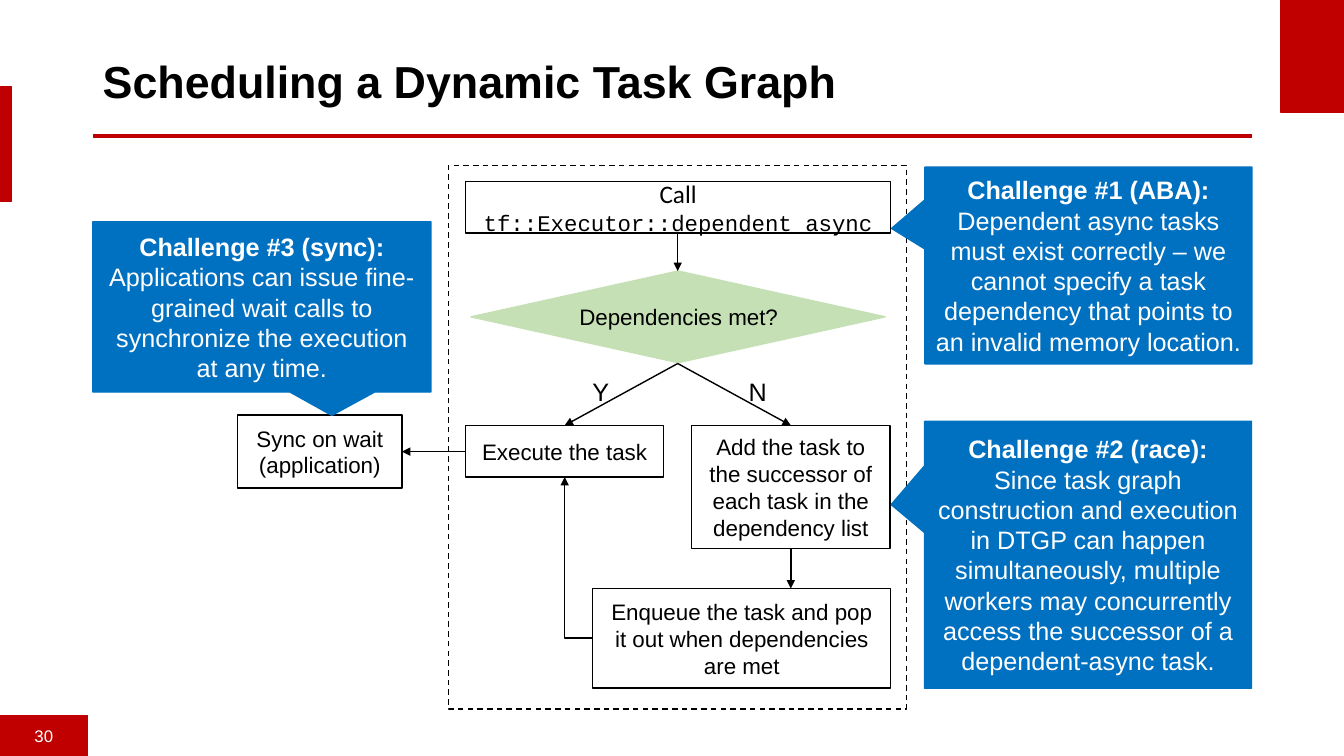
from dataclasses import dataclass
from typing import Optional

from lxml.etree import SubElement
from pptx import Presentation
from pptx.dml.color import RGBColor
from pptx.enum.dml import MSO_LINE as Dash
from pptx.enum.shapes import MSO_CONNECTOR as Conn, MSO_SHAPE as Kind
from pptx.enum.text import MSO_ANCHOR as Anchor, PP_ALIGN as Align
from pptx.oxml.ns import qn
from pptx.util import Cm, Pt

RED, BLUE, GREEN = "C00000", "0070C0", "C5E0B4"
BLACK, WHITE = "000000", "FFFFFF"


@dataclass
class Run:
    text: str
    bold: Optional[bool] = None
    size: Optional[float] = None
    font: Optional[str] = None


@dataclass
class Box:
    """A shape with its place in centimetres; each item of paras is a list of runs."""
    left: float
    top: float
    width: float
    height: float
    paras: tuple = ()
    kind: Kind = Kind.RECTANGLE
    fill: Optional[str] = WHITE
    line: str = BLACK
    size: float = 16
    color: str = BLACK
    dashed: bool = False
    tip: tuple = ()


@dataclass
class Label:
    text: str
    left: float
    top: float
    width: float
    height: float
    size: float
    title: bool = False


@dataclass
class Link:
    x1: float
    y1: float
    x2: float
    y2: float
    color: str = BLACK
    width: float = 1
    arrow: bool = True
    bent: bool = False


def rgb(code: str) -> RGBColor:
    return RGBColor.from_string(code)


def style(font, size: float, color: str, bold: bool = False) -> None:
    font.name, font.size, font.bold = "Arial", Pt(size), bold
    font.color.rgb = rgb(color)


def write(frame, box: Box) -> None:
    frame.word_wrap = True
    frame.vertical_anchor = Anchor.MIDDLE
    for i, runs in enumerate(box.paras):
        para = frame.add_paragraph() if i else frame.paragraphs[0]
        para.alignment = Align.CENTER
        style(para.font, box.size, box.color)
        for item in runs:
            run = para.add_run()
            run.text = item.text
            if item.bold:
                run.font.bold = True
            if item.size:
                run.font.size = Pt(item.size)
            if item.font:
                run.font.name = item.font


def draw_box(slide, box: Box) -> None:
    place = map(Cm, (box.left, box.top, box.width, box.height))
    shape = slide.shapes.add_shape(box.kind, *place)
    shape.shadow.inherit = False
    if box.fill:
        shape.fill.solid()
        shape.fill.fore_color.rgb = rgb(box.fill)
    else:
        shape.fill.background()
    shape.line.color.rgb = rgb(box.line)
    shape.line.width = Pt(1)
    if box.dashed:
        shape.line.dash_style = Dash.DASH
    for i, value in enumerate(box.tip):
        shape.adjustments[i] = value
    write(shape.text_frame, box)


def draw_label(slide, label: Label) -> None:
    place = map(Cm, (label.left, label.top, label.width, label.height))
    frame = slide.shapes.add_textbox(*place).text_frame
    frame.word_wrap = label.title
    para = frame.paragraphs[0]
    para.text = label.text
    if label.title:
        frame.vertical_anchor = Anchor.MIDDLE
        para.line_spacing = 0.9
    style(para.font, label.size, BLACK, label.title)


def draw_link(slide, link: Link) -> None:
    ends = [Cm(v) for v in (link.x1, link.y1, link.x2, link.y2)]
    if link.bent:
        ends = ends[2:] + ends[:2]
    line = slide.shapes.add_connector(Conn.ELBOW if link.bent else Conn.STRAIGHT, *ends)
    line.line.color.rgb = rgb(link.color)
    line.line.width = Pt(link.width)
    props = line._element.spPr
    if link.bent:
        # One corner, turned half round so that it starts at the lower right
        props.find(qn("a:prstGeom")).set("prst", "bentConnector2")
        props.find(qn("a:xfrm")).set("rot", "10800000")
    if link.arrow:
        SubElement(props.find(qn("a:ln")), qn("a:tailEnd"), type="triangle")
    SubElement(props, qn("a:effectLst"))


def plain(*lines: str) -> tuple:
    return tuple([Run(text)] for text in lines)


def bar(left: float, top: float, width: float, height: float, text: str = "") -> Box:
    return Box(left, top, width, height, plain(text) if text else (),
               fill=RED, line=RED, size=12, color=WHITE)


def callout(left: float, top: float, width: float, height: float,
            head: str, body: str, tip: tuple = (-0.602, -0.188)) -> Box:
    return Box(left, top, width, height, ([Run(head + " ", bold=True), Run(body)],),
               Kind.RECTANGULAR_CALLOUT, BLUE, BLUE, 18, WHITE, tip=tip)


LEFT, RIGHT = 2.34, 31.55
MID, YES, NO = 17.08, 14.23, 19.93  # centre lines of the flow chart
STEP = 11.73                        # left edge of the flow chart
ROW = 10.72                         # top of the two branches
CALL = [Run("Call", size=18, font="Calibri"), Run(" ", font="Calibri"),
        Run("tf::Executor::dependent_async", font="Courier New")]

BOXES = [
    bar(32.28, 0, 1.59, 2.84),
    bar(0, 2.18, 0.28, 2.9),
    bar(0, 18.03, 2.21, 1.02, "30"),
    Box(STEP, 4.57, 10.72, 1.3, (CALL,)),
    Box(STEP, ROW, 5, 1.3, plain("Execute the task")),
    Box(17.43, ROW, 5, 3.1,
        plain("Add the task to the successor of each task in the dependency list")),
    Box(11.87, 6.83, 10.44, 2.31, kind=Kind.DIAMOND, fill=GREEN, line=GREEN),
    Box(14.94, 14.83, 7.51, 2.51,
        plain("Enqueue the task and pop it out when dependencies are met")),
    Box(11.3, 4.17, 11.54, 13.7, fill=None, dashed=True),
    Box(5.99, 10.46, 4.14, 1.84, plain("Sync on wait", "(application)"), fill=None),
    callout(23.31, 4.21, 8.24, 4.96, "Challenge #1 (ABA):",
            "Dependent async tasks must exist correctly – we cannot specify a task "
            "dependency that points to an invalid memory location."),
    callout(23.3, 10.62, 8.24, 6.72, "Challenge #2 (race):",
            "Since task graph construction and execution in DTGP can happen "
            "simultaneously, multiple workers may concurrently access the successor "
            "of a dependent-async task."),
    callout(LEFT, 5.59, 8.52, 4.29, "Challenge #3 (sync):",
            "Applications can issue fine-grained wait calls to synchronize the "
            "execution at any time.", (0.207, 0.637)),
]

LINKS = [
    Link(LEFT, 3.43, RIGHT, 3.43, RED, 3, arrow=False),
    Link(MID, 5.87, MID, 6.83),
    Link(MID, 9.16, YES, ROW),
    Link(MID, 9.16, NO, ROW),
    Link(NO, 13.82, NO, 14.83),
    Link(14.94, 16.08, YES, 12.02, bent=True),
    Link(STEP, 11.38, 10.13, 11.38),
]

LABELS = [
    Label("Scheduling a Dynamic Task Graph", LEFT, 0.71, 29.21, 2.79, 32, title=True),
    Label("Y", 14.68, 9.35, 0.94, 1.02, 18),
    Label("N", 18.62, 9.35, 0.97, 1.02, 18),
    Label("Dependencies met?", 14.35, 7.52, 5.59, 0.94, 16),
]


def main() -> None:
    deck = Presentation()
    deck.slide_width, deck.slide_height = Cm(33.87), Cm(19.05)
    slide = deck.slides.add_slide(deck.slide_layouts[6])
    for draw, items in ((draw_box, BOXES), (draw_link, LINKS), (draw_label, LABELS)):
        for item in items:
            draw(slide, item)
    deck.save("out.pptx")


if __name__ == "__main__":
    main()
